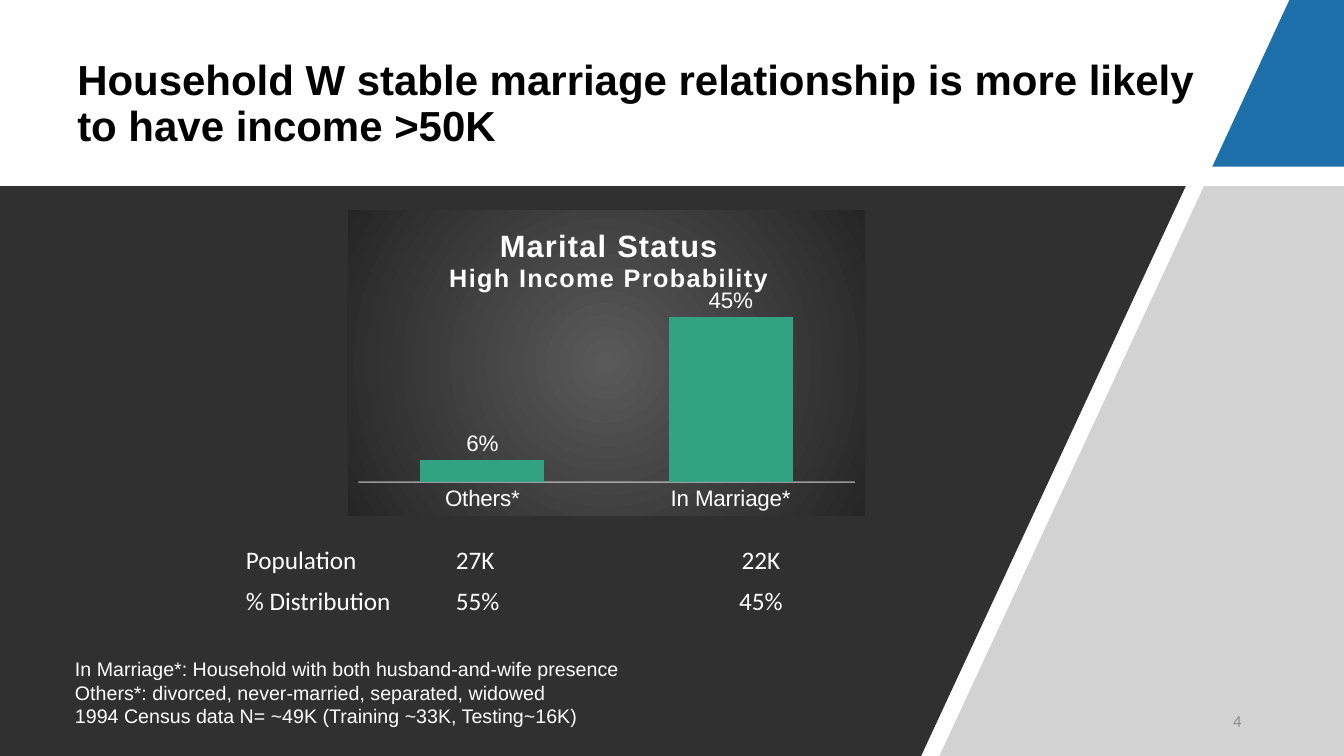
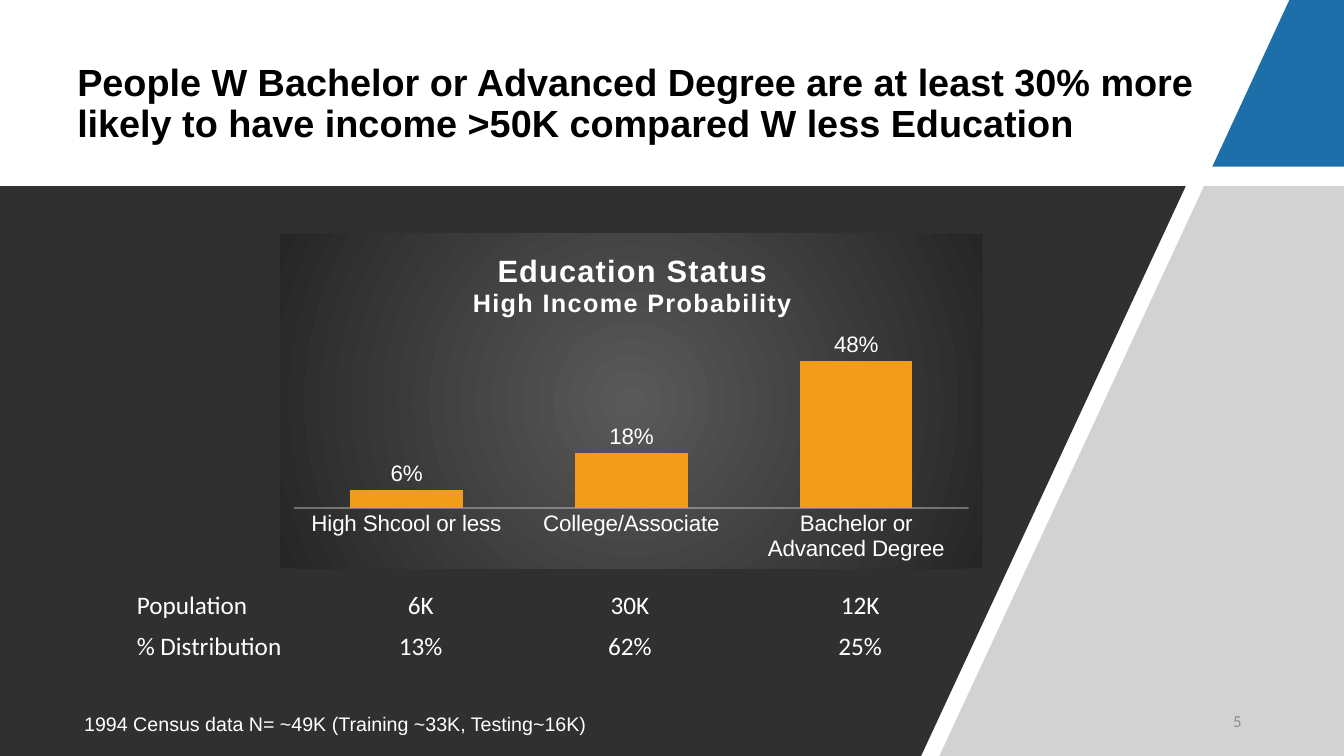
from pptx import Presentation
from pptx.chart.data import CategoryChartData
from pptx.dml.color import RGBColor
from pptx.enum.chart import XL_CHART_TYPE, XL_LABEL_POSITION, XL_TICK_LABEL_POSITION, XL_TICK_MARK
from pptx.enum.text import MSO_ANCHOR, MSO_AUTO_SIZE, PP_ALIGN
from pptx.oxml import parse_xml
from pptx.oxml.ns import nsdecls, qn
from pptx.util import Pt

WHITE, BLACK, BLUE, GREY, DARK = "FFFFFF", "000000", "1D6FA9", "A6A6A6", "303030"
GREEN, ORANGE, AXIS, NUMBER_GREY = "31A380", "F19D19", "F2F2F2", "8C8C8C"
GLOW_CENTRE, GLOW_EDGE = "595959", "262626"
HEADING_FONT, TABLE_FONT = "Arial", "Calibri"
LEFT, CENTER = PP_ALIGN.LEFT, PP_ALIGN.CENTER
NO_STYLE_NO_GRID = "{2D5ABB26-0587-4C30-8999-92F81FD0307C}"
FIRST_NUMBER = 4
ROW_HEIGHT = 29.2
CENSUS = "1994 Census data N= ~49K (Training ~33K, Testing~16K)"

# Fill, opacity in percent, corners
BANDS = [
    (BLUE, 100, [(921, 0), (960, 0), (960, 119), (866, 119)]),
    (GREY, 50, [(860, 133), (960, 133), (960, 540), (671, 540)]),
    (DARK, 100, [(0, 133), (847, 133), (658, 540), (0, 540)]),
]

# Plot and heading areas are fractions of the chart
SLIDES = [
    {
        "title": "Household W stable marriage relationship is more likely to have income >50K",
        "title_size": 30,
        "chart": {
            "box": (248.5, 150, 369.5, 218.5),
            "heading": ["Marital Status", "High Income Probability"],
            "heading_at": (0.19, 0.05),
            "plot": (0.02, 0.29, 0.96, 0.6),
            "data": {"Others*": 0.06, "In Marriage*": 0.45},
            "reverse": False,
            "maximum": 0.5,
            "color": GREEN,
        },
        "table": {
            "at": (168.5, 386),
            "widths": [150, 150, 150],
            "aligns": [LEFT, LEFT, CENTER],
            "rows": [["Population", "27K", "22K"], ["% Distribution", "55%", "45%"]],
        },
        "notes_box": (46.5, 466, 571, 58),
        "notes": [
            "In Marriage*: Household with both husband-and-wife presence",
            "Others*: divorced, never-married, separated, widowed",
            CENSUS,
        ],
    },
    {
        "title": "People W Bachelor or Advanced Degree are at least 30% more likely "
                 "to have income >50K compared W less Education",
        "title_size": 27,
        "chart": {
            "box": (200, 167, 502, 239),
            "heading": ["Education Status", "High Income Probability"],
            "heading_at": (0.27, 0.05),
            "plot": (0.02, 0.27, 0.96, 0.55),
            "data": {
                "Bachelor or Advanced Degree": 0.48,
                "College/Associate": 0.18,
                "High Shcool or less": 0.06,
            },
            "reverse": True,
            "maximum": 0.6,
            "color": ORANGE,
        },
        "table": {
            "at": (90.5, 418),
            "widths": [150, 120, 179, 150],
            "aligns": [LEFT, CENTER, CENTER, CENTER],
            "rows": [["Population", "6K", "30K", "12K"], ["% Distribution", "13%", "62%", "25%"]],
        },
        "notes_box": (53, 505, 420, 24),
        "notes": [CENSUS],
    },
]


def rgb(color):
    return RGBColor.from_string(color)


def points(values):
    return [Pt(value) for value in values]


def style(font, size, color=WHITE, name=HEADING_FONT, bold=False):
    font.size, font.name, font.bold = Pt(size), name, bold
    font.color.rgb = rgb(color)


def set_opacity(element, percent):
    for color in element.iter(qn("a:srgbClr")):
        color.append(parse_xml(f'<a:alpha {nsdecls("a")} val="{percent * 1000}"/>'))


def add_bands(slide):
    for color, opacity, corners in BANDS:
        start, *others = [points(corner) for corner in corners]
        builder = slide.shapes.build_freeform(*start, scale=1.0)
        builder.add_line_segments(others, close=True)
        band = builder.convert_to_shape()
        band.shadow.inherit = False
        band.fill.solid()
        band.fill.fore_color.rgb = rgb(color)
        band.line.fill.background()
        if opacity < 100:
            set_opacity(band.fill._xPr, opacity)


def set_title(slide, text, size):
    title = slide.shapes.title
    title.left, title.top, title.width, title.height = points((48, 28, 833, 94))
    frame = title.text_frame
    frame.text = text
    frame.word_wrap = True
    frame.auto_size = MSO_AUTO_SIZE.NONE
    frame.vertical_anchor = MSO_ANCHOR.MIDDLE
    para = frame.paragraphs[0]
    para.alignment, para.line_spacing = LEFT, 0.9
    style(para.runs[0].font, size, BLACK, bold=True)


def manual_layout(x, y, width=None, height=None):
    """Layout element that fixes the place, and if given the size, of a chart part."""
    inner = '<c:layoutTarget val="inner"/>' if width else ""
    parts = '<c:xMode val="edge"/><c:yMode val="edge"/>'
    for tag, value in zip("xywh", (x, y, width, height)):
        if value is not None:
            parts += f'<c:{tag} val="{value}"/>'
    return parse_xml(f'<c:layout {nsdecls("c")}><c:manualLayout>{inner}{parts}'
                     '</c:manualLayout></c:layout>')


def replace_layout(parent, layout, before):
    """Put the layout in front of the first child whose tag is listed in before."""
    for old in parent.findall(qn("c:layout")):
        parent.remove(old)
    tags = [qn(tag) for tag in before]
    follower = next((child for child in parent if child.tag in tags), None)
    if follower is None:
        parent.append(layout)
    else:
        follower.addprevious(layout)


def add_heading(chart, lines, place):
    frame = chart.chart_title.text_frame
    frame.text = "\n".join(lines)
    for para, size in zip(frame.paragraphs, (22, 18)):
        para.alignment = CENTER
        for span in para.runs:
            style(span.font, size, bold=True)
            span._r.get_or_add_rPr().set("spc", "100")
    chart.chart_title.include_in_layout = False
    replace_layout(chart.chart_title._element, manual_layout(*place),
                   ["c:overlay", "c:spPr", "c:txPr"])


def add_glow(chart):
    """Fill the chart background with a circular gradient."""
    stops = "".join(
        f'<a:gs pos="{place}"><a:srgbClr val="{color}"/></a:gs>'
        for place, color in ((0, GLOW_CENTRE), (100000, GLOW_EDGE)))
    chart._chartSpace.chart.addnext(parse_xml(
        f'<c:spPr {nsdecls("c", "a")}><a:gradFill><a:gsLst>{stops}</a:gsLst>'
        '<a:path path="circle"><a:fillToRect l="50000" t="50000" r="50000" b="50000"/></a:path>'
        '</a:gradFill><a:ln><a:noFill/></a:ln></c:spPr>'))


def add_bar_chart(slide, content):
    data = CategoryChartData(number_format="0%")
    data.categories = list(content["data"])
    data.add_series("Series 1", list(content["data"].values()))
    chart = slide.shapes.add_chart(
        XL_CHART_TYPE.COLUMN_CLUSTERED, *points(content["box"]), data).chart
    chart.has_legend = False
    style(chart.font, 10, BLACK, TABLE_FONT)
    add_heading(chart, content["heading"], content["heading_at"])
    add_glow(chart)

    categories, values = chart.category_axis, chart.value_axis
    categories.reverse_order = content["reverse"]
    categories.major_tick_mark = XL_TICK_MARK.NONE
    categories.tick_label_position = XL_TICK_LABEL_POSITION.NEXT_TO_AXIS
    style(categories.tick_labels.font, 16)
    line = categories.format.line
    line.width = Pt(1)
    line.color.rgb = rgb(AXIS)
    set_opacity(line._ln, 54)
    values.visible = False
    values.has_major_gridlines = False
    values.minimum_scale, values.maximum_scale = 0, content["maximum"]

    plot = chart.plots[0]
    plot.gap_width, plot.overlap, plot.vary_by_categories = 100, -24, False
    bars = plot.series[0].format
    bars.fill.solid()
    bars.fill.fore_color.rgb = rgb(content["color"])
    plot.has_data_labels = True
    labels = plot.data_labels
    labels.show_value = True
    labels.number_format, labels.number_format_is_linked = "0%", False
    labels.position = XL_LABEL_POSITION.OUTSIDE_END
    style(labels.font, 16)
    replace_layout(chart._chartSpace.chart.plotArea, manual_layout(*content["plot"]),
                   ["c:barChart"])


def add_figures(slide, content):
    rows, widths = content["rows"], content["widths"]
    size = (sum(widths), ROW_HEIGHT * len(rows))
    table = slide.shapes.add_table(
        len(rows), len(widths), *points(content["at"] + size)).table
    table.first_row = table.horz_banding = False
    table._tbl.tblPr.find(qn("a:tableStyleId")).text = NO_STYLE_NO_GRID
    for column, width in zip(table.columns, widths):
        column.width = Pt(width)
    for r, row in enumerate(rows):
        for c, text in enumerate(row):
            cell = table.cell(r, c)
            cell.fill.background()
            cell.text = text
            para = cell.text_frame.paragraphs[0]
            para.alignment = content["aligns"][c]
            style(para.runs[0].font, 18, name=TABLE_FONT)


def add_notes(slide, box, lines):
    frame = slide.shapes.add_textbox(*points(box)).text_frame
    frame.word_wrap = True
    frame.text = "\n".join(lines)
    for para in frame.paragraphs:
        style(para.runs[0].font, 14)


def add_slide_number(slide, number):
    frame = slide.shapes.add_textbox(*points((678, 500.5, 216, 29))).text_frame
    frame.word_wrap = True
    frame.vertical_anchor = MSO_ANCHOR.MIDDLE
    para = frame.paragraphs[0]
    para.alignment = PP_ALIGN.RIGHT
    para._p.append(parse_xml(
        f'<a:fld {nsdecls("a")} id="{{B6F15528-21DE-4FAA-801E-634DDDAF4B2B}}" type="slidenum">'
        f'<a:rPr lang="en-US" sz="1200"><a:solidFill><a:srgbClr val="{NUMBER_GREY}"/></a:solidFill>'
        f'<a:latin typeface="{TABLE_FONT}"/></a:rPr><a:t>{number}</a:t></a:fld>'))


def main():
    deck = Presentation()
    deck.slide_width, deck.slide_height = Pt(960), Pt(540)
    deck.element.set("firstSlideNum", str(FIRST_NUMBER))
    title_only = deck.slide_layouts[5]
    for number, content in enumerate(SLIDES, FIRST_NUMBER):
        slide = deck.slides.add_slide(title_only)
        add_bands(slide)
        set_title(slide, content["title"], content["title_size"])
        add_bar_chart(slide, content["chart"])
        add_figures(slide, content["table"])
        add_notes(slide, content["notes_box"], content["notes"])
        add_slide_number(slide, number)
    deck.save("out.pptx")


if __name__ == "__main__":
    main()
